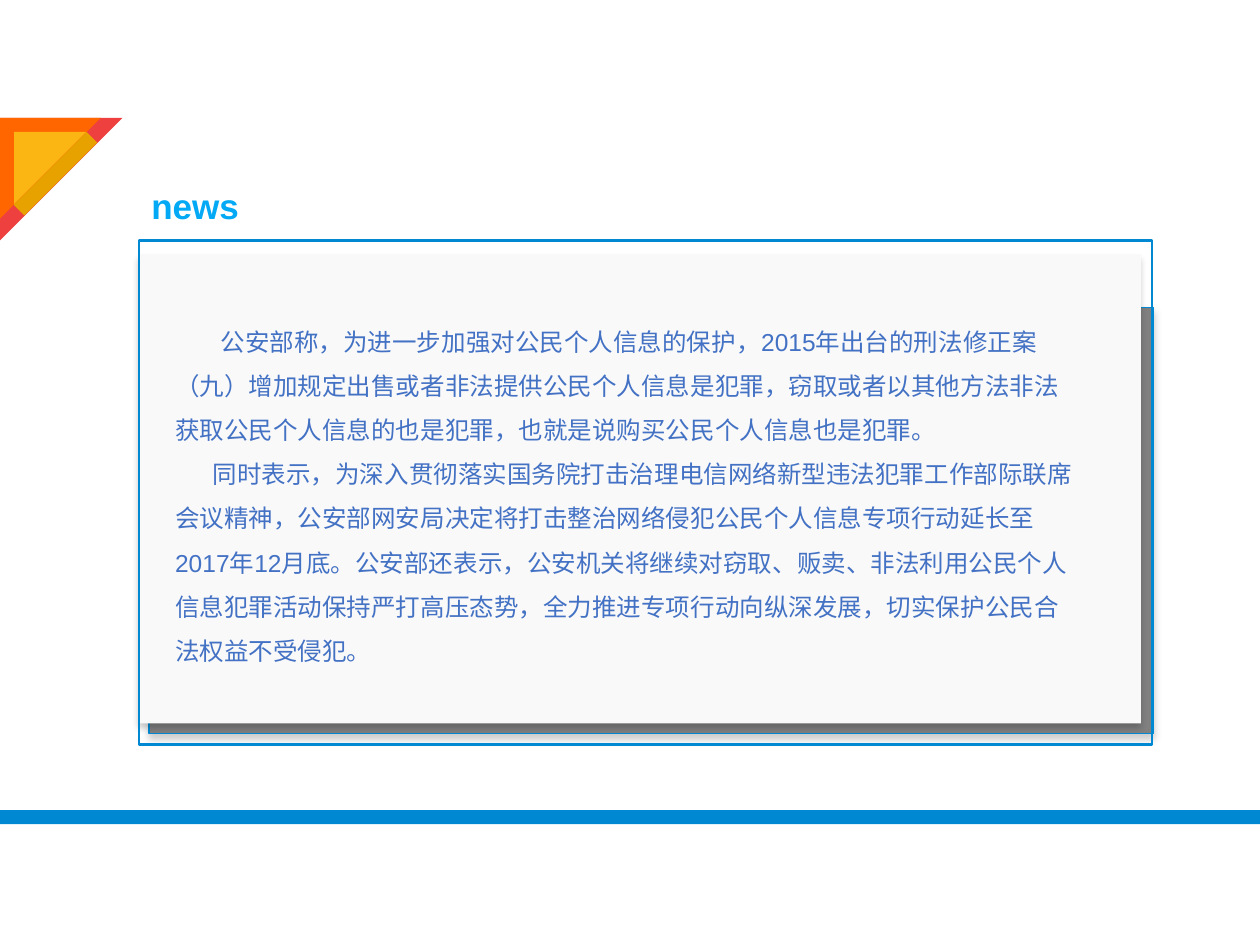
import pptx
import pptx.util
import pptx.dml.color
import pptx.enum.shapes
import pptx.enum.text
import pptx.oxml
import pptx.oxml.ns

Pt = pptx.util.Pt
Kind = pptx.enum.shapes.MSO_SHAPE

HUES = {
    "blue": "0089D2", "sky": "03A9F5", "text": "4371C4", "grey": "808080",
    "card": "F9F9F9", "red": "EE403F", "orange": "FF6600",
    "yellow": "FBB614", "gold": "E7A200",
}

NEWS = [
    (26, "公安部称，为进一步加强对公民个人信息的保护，2015年出台的刑法修正案（九）增加规定出售或者非法提供公民个人信息是犯罪，窃取或者以其他方法非法获取公民个人信息的也是犯罪，也就是说购买公民个人信息也是犯罪。"),
    (21.5, "同时表示，为深入贯彻落实国务院打击治理电信网络新型违法犯罪工作部际联席会议精神，公安部网安局决定将打击整治网络侵犯公民个人信息专项行动延长至2017年12月底。公安部还表示，公安机关将继续对窃取、贩卖、非法利用公民个人信息犯罪活动保持严打高压态势，全力推进专项行动向纵深发展，切实保护公民合法权益不受侵犯。"),
]


def hue(name):
    """Return the named colour."""
    return pptx.dml.color.RGBColor.from_string(HUES[name])


def add_form(slide, kind, box, fill=None, line=None, width=0.75, turn=0):
    """Add a flat preset shape."""
    form = slide.shapes.add_shape(kind, *map(Pt, box))
    form.shadow.inherit = False
    form.rotation = turn
    if fill:
        form.fill.solid()
        form.fill.fore_color.rgb = hue(fill)
    else:
        form.fill.background()
    if line:
        form.line.color.rgb = hue(line)
        form.line.width = Pt(width)
    else:
        form.line.fill.background()
    return form


def add_shade(form):
    """Give a shape a soft shadow below it."""
    space = pptx.oxml.ns.nsdecls("a")
    shade = pptx.oxml.parse_xml(
        f'<a:outerShdw {space} blurRad="{Pt(4)}" dist="{Pt(3)}" dir="5400000" '
        'algn="t" rotWithShape="0"><a:srgbClr val="000000">'
        '<a:alpha val="20000"/></a:srgbClr></a:outerShdw>')
    form.element.spPr.find(pptx.oxml.ns.qn("a:effectLst")).append(shade)


def add_text(slide, box, paras, size, color, bold=False, space=1, pad=(7.2, 3.6)):
    """Add a text box from pairs of first-line indent and text."""
    frame = slide.shapes.add_textbox(*map(Pt, box)).text_frame
    frame.word_wrap = True
    frame.auto_size = pptx.enum.text.MSO_AUTO_SIZE.NONE
    frame.margin_left = frame.margin_right = Pt(pad[0])
    frame.margin_top = frame.margin_bottom = Pt(pad[1])
    for i, (indent, words) in enumerate(paras):
        para = frame.add_paragraph() if i else frame.paragraphs[0]
        para.line_spacing = space
        if indent:
            para._p.get_or_add_pPr().set("indent", str(Pt(indent)))
        run = para.add_run()
        run.text = words
        run.font.name = "Arial"
        run.font.size = Pt(size)
        run.font.bold = bold
        run.font.color.rgb = hue(color)


def add_corner(slide, left, top):
    """Draw the folded corner from stacked triangles and a band."""
    for shift, side, fill in ((0, 70, "red"), (0, 57.6, "orange"), (8, 41.2, "yellow")):
        box = (left + shift, top + shift, side, side)
        add_form(slide, Kind.RIGHT_TRIANGLE, box, fill, turn=90)
    add_form(slide, Kind.RECTANGLE, (left + 27.4, top + 2.4, 8.6, 59), "gold", turn=45)


def add_panel(slide, left, top, width, height):
    """Draw the heading, the framed card and the news text."""
    back = add_form(slide, Kind.RECTANGLE,
                    (left + 5.8, top + 38.2, width - 5, height - 44.6), "grey", "blue")
    card = add_form(slide, Kind.RECTANGLE,
                    (left, top + 8, width - 6.5, height - 20), "card")
    for form in (back, card):
        add_shade(form)
    add_text(slide, (left, top - 35.3, 70, 31), [(0, "news")], 20, "sky", True)
    add_form(slide, Kind.RECTANGLE, (left, top, width, height), None, "blue", 1.5)
    add_text(slide, (left + 15, top + 38.2, 528.5, 231), NEWS, 14, "text",
             space=1.5, pad=(5.7, 2.9))


def main():
    """Build and save the slide."""
    deck = pptx.Presentation()
    deck.slide_width, deck.slide_height = Pt(720), Pt(540)
    slide = deck.slides.add_slide(deck.slide_layouts[6])
    add_panel(slide, 79.4, 137.4, 579, 288)
    add_form(slide, Kind.RECTANGLE, (0, 463, 720, 8), "blue")
    add_corner(slide, 0, 67.4)
    deck.save("out.pptx")


if __name__ == "__main__":
    main()
